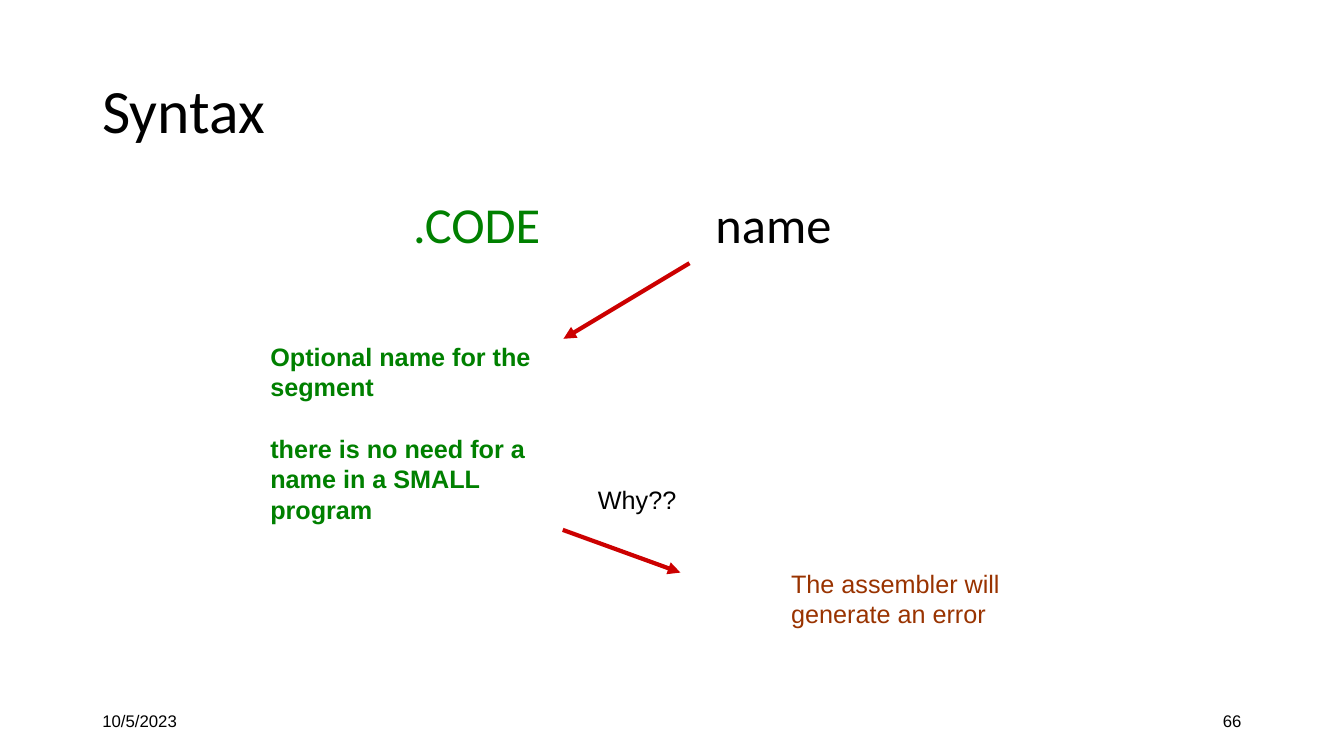
"""Build the slide on the syntax of the .CODE directive."""
from lxml import etree
from pptx import Presentation, util as u
from pptx.dml.color import RGBColor
from pptx.enum import shapes, text
from pptx.oxml.ns import qn

COLORS = {"black": "000000", "green": "008000", "red": "CC0000", "brown": "993300"}
LEFT, RIGHT = text.PP_ALIGN.LEFT, text.PP_ALIGN.RIGHT
TOP, MIDDLE = text.MSO_ANCHOR.TOP, text.MSO_ANCHOR.MIDDLE

TITLE = ("Syntax", (66, 29, 828, 104.5))
DIRECTIVE = [("\t.CODE", "green"), ("\tname", "black")]
DIRECTIVE_BOX = (126, 139.5, 504, 343)
DIRECTIVE_TABS = (162, 378)
FOOTERS = [
    ("10/5/2023", (66, 500.5, 216, 29), LEFT),
    ("66", (678, 500.5, 216, 29), RIGHT),
]
NOTES = [
    ("Optional name for the segment", (186, 240, 240, 50.5), "green", True),
    ("there is no need for a name in a SMALL program", (186, 306, 216, 72), "green", True),
    ("Why??", (420, 342.5, 84, 29), "black", False),
    ("The assembler will generate an error", (558, 402.5, 192, 50.5), "brown", False),
]
ARROWS = [(492.5, 188, 402.5, 242), (402, 378.5, 486, 409)]


def color(name):
    return RGBColor.from_string(COLORS[name])


def points(values):
    return [u.Pt(value) for value in values]


def apply(target, **values):
    for name, value in values.items():
        setattr(target, name, value)


def write(shape, runs, size, font="Arial", bold=False, anchor=TOP, align=LEFT, spacing=1.0, tabs=()):
    frame = shape.text_frame
    apply(frame, word_wrap=True, auto_size=text.MSO_AUTO_SIZE.NONE, vertical_anchor=anchor)
    paragraph = frame.paragraphs[0]
    if tabs:
        tab_list = etree.SubElement(paragraph._p.get_or_add_pPr(), qn("a:tabLst"))
        for position in tabs:
            etree.SubElement(tab_list, qn("a:tab"), pos=str(u.Pt(position)), algn="l")
    apply(paragraph, alignment=align, line_spacing=spacing, space_before=u.Pt(0))
    for words, color_name in runs:
        run = paragraph.add_run()
        run.text = words
        apply(run.font, name=font, size=u.Pt(size), bold=bold)
        run.font.color.rgb = color(color_name)


def add_arrow(slide, ends):
    arrow = slide.shapes.add_connector(shapes.MSO_CONNECTOR.STRAIGHT, *points(ends))
    arrow.line.width = u.Pt(3)
    arrow.line.color.rgb = color("red")
    etree.SubElement(arrow.line._get_or_add_ln(), qn("a:tailEnd"), type="triangle")
    etree.SubElement(arrow._element.spPr, qn("a:effectLst"))


def main():
    presentation = Presentation()
    apply(presentation, slide_width=u.Pt(960), slide_height=u.Pt(540))
    slide = presentation.slides.add_slide(presentation.slide_layouts[5])

    title, box = TITLE
    heading = slide.shapes.title
    apply(heading, **dict(zip(("left", "top", "width", "height"), points(box))))
    write(heading, [(title, "black")], 44, "Calibri", anchor=MIDDLE, spacing=0.9)

    directive = slide.shapes.add_textbox(*points(DIRECTIVE_BOX))
    write(directive, DIRECTIVE, 36, "Calibri", spacing=0.9, tabs=DIRECTIVE_TABS)

    for words, box, align in FOOTERS:
        footer = slide.shapes.add_textbox(*points(box))
        write(footer, [(words, "black")], 12, anchor=MIDDLE, align=align)
    for words, box, color_name, bold in NOTES:
        note = slide.shapes.add_textbox(*points(box))
        write(note, [(words, color_name)], 18, bold=bold)
    for ends in ARROWS:
        add_arrow(slide, ends)
    presentation.save("out.pptx")


if __name__ == "__main__":
    main()
